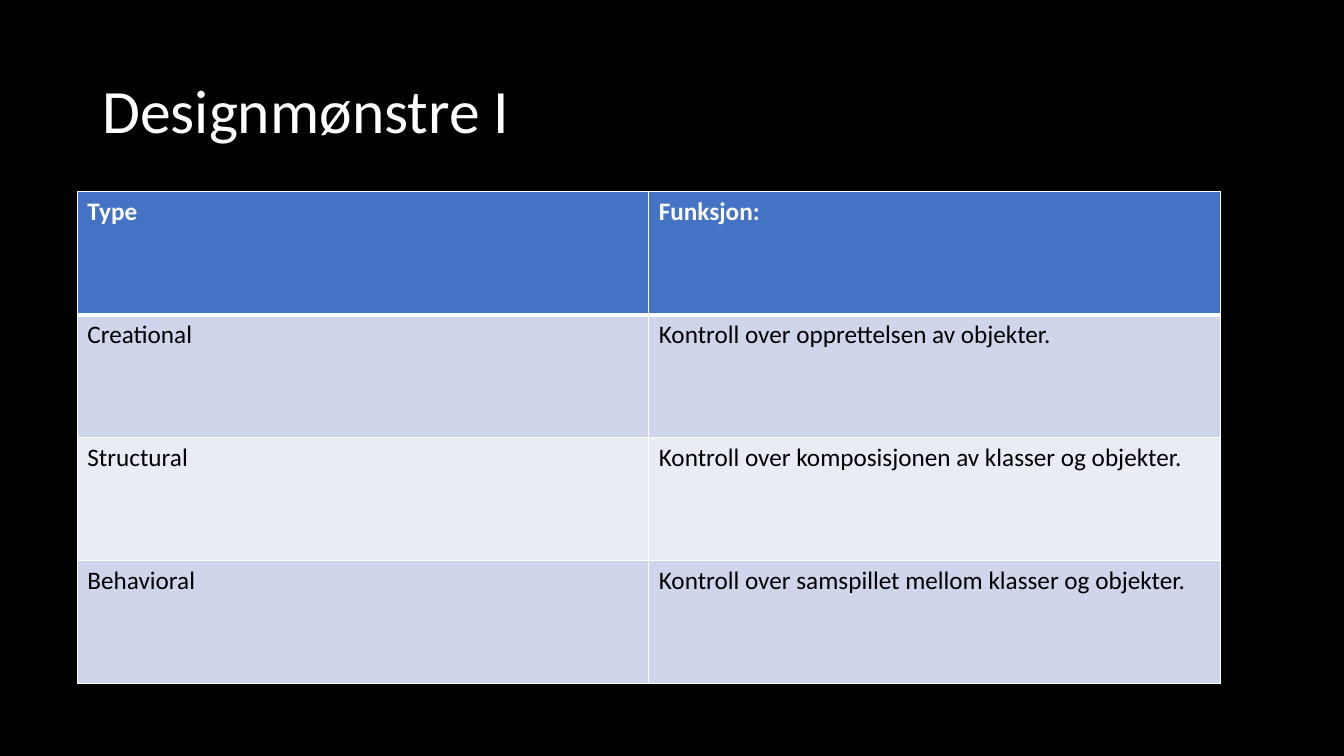
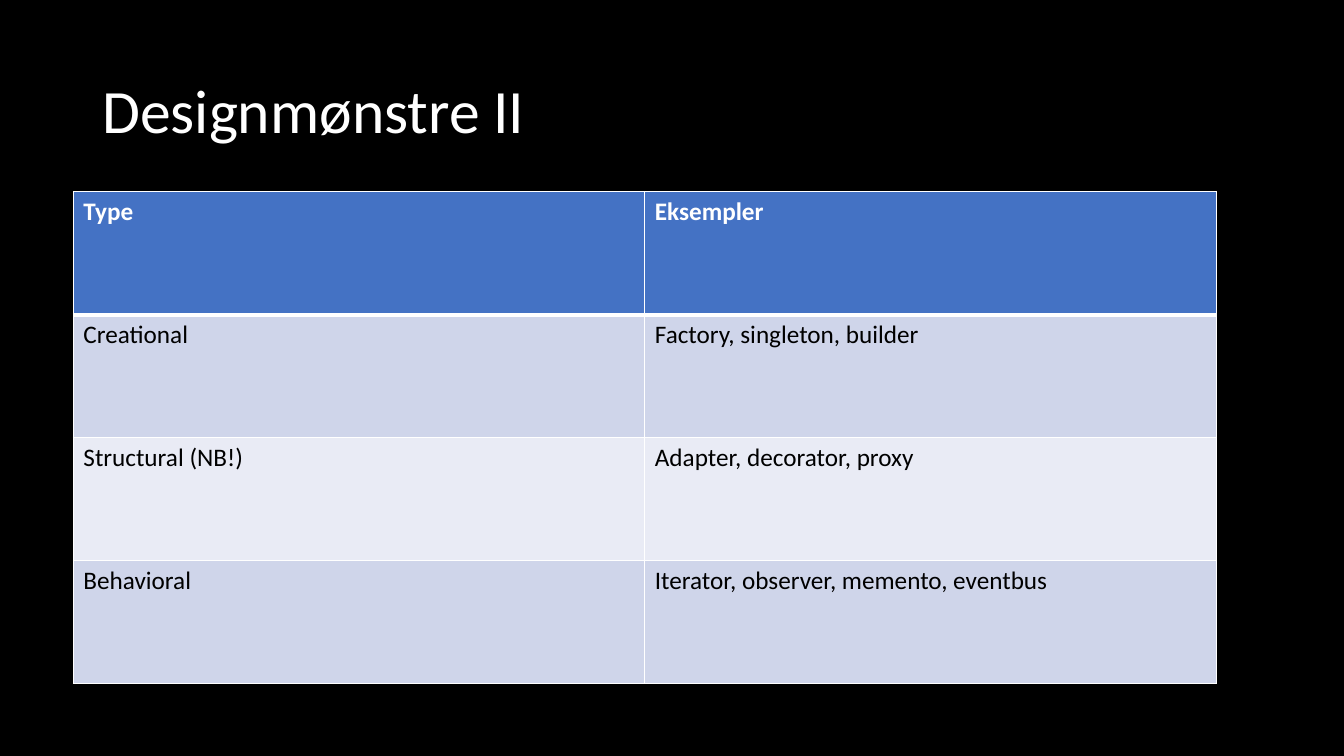
from lxml import etree
from pptx import Presentation
from pptx.dml.color import RGBColor
from pptx.enum.text import MSO_ANCHOR
from pptx.oxml.ns import qn
from pptx.util import Cm, Pt

MIDDLE = MSO_ANCHOR.MIDDLE
FONT = "Calibri"
COLORS = {
    "back": "000000",
    "light": "FFFFFF",
    "dark": "000000",
    "head": "4472C4",
    "odd": "CFD5EA",
    "even": "E9EBF5",
}

# Content: title, left edge of the table in cm, rows with the header first
SLIDES = [
    ("Designmønstre I", 1.95, [
        ("Type", "Funksjon:"),
        ("Creational", "Kontroll over opprettelsen av objekter."),
        ("Structural", "Kontroll over komposisjonen av klasser og objekter."),
        ("Behavioral", "Kontroll over samspillet mellom klasser og objekter."),
    ]),
    ("Designmønstre II", 1.85, [
        ("Type", "Eksempler"),
        ("Creational", "Factory, singleton, builder"),
        ("Structural (NB!)", "Adapter, decorator, proxy"),
        ("Behavioral", "Iterator, observer, memento, eventbus"),
    ]),
]

# Shared layout in cm
TITLE = (2.33, 1.02, 29.21, 3.68)
TOP, COL, ROW = 4.83, 14.4, 3.1


def color(name):
    return RGBColor.from_string(COLORS[name])


def write(frame, text, size=18, ink="dark", bold=False, space=None):
    para = frame.paragraphs[0]
    para.line_spacing = space
    run = para.add_run()
    run.text = text
    font = run.font
    font.name, font.size, font.bold = FONT, Pt(size), bold
    font.color.rgb = color(ink)


def add_title(slide, text):
    box = slide.shapes.add_textbox(*map(Cm, TITLE))
    frame = box.text_frame
    frame.word_wrap = True
    frame.vertical_anchor = MIDDLE
    write(frame, text, size=44, ink="light", space=0.9)


def add_lines(cell, top, bottom):
    # Cell borders come before the fill in the cell properties
    props = cell._tc.get_or_add_tcPr()
    widths = {"lnL": 1, "lnR": 1, "lnT": top, "lnB": bottom}
    for at, (tag, width) in enumerate(widths.items()):
        line = etree.Element(qn(f"a:{tag}"), w=str(Pt(width)))
        fill = etree.SubElement(line, qn("a:solidFill"))
        etree.SubElement(fill, qn("a:srgbClr"), val=COLORS["light"])
        props.insert(at, line)


def add_grid(slide, left, rows):
    count, wide = len(rows), len(rows[0])
    table = slide.shapes.add_table(
        count, wide, Cm(left), Cm(TOP), Cm(COL * wide), Cm(ROW * count)).table
    for col in table.columns:
        col.width = Cm(COL)
    for i, texts in enumerate(rows):
        table.rows[i].height = Cm(ROW)
        head = i == 0
        shade = "head" if head else "odd" if i % 2 else "even"
        for j, text in enumerate(texts):
            cell = table.cell(i, j)
            cell.fill.solid()
            cell.fill.fore_color.rgb = color(shade)
            add_lines(cell, top=3 if i == 1 else 1, bottom=3 if head else 1)
            write(cell.text_frame, text, bold=head,
                  ink="light" if head else "dark")


def main():
    deck = Presentation()
    deck.slide_width, deck.slide_height = Cm(33.87), Cm(19.05)
    blank = deck.slide_layouts[6]
    # Background shared by all slides
    fill = deck.slide_master.background.fill
    fill.solid()
    fill.fore_color.rgb = color("back")
    for title, left, rows in SLIDES:
        slide = deck.slides.add_slide(blank)
        add_title(slide, title)
        add_grid(slide, left, rows)
    deck.save("out.pptx")


if __name__ == "__main__":
    main()
